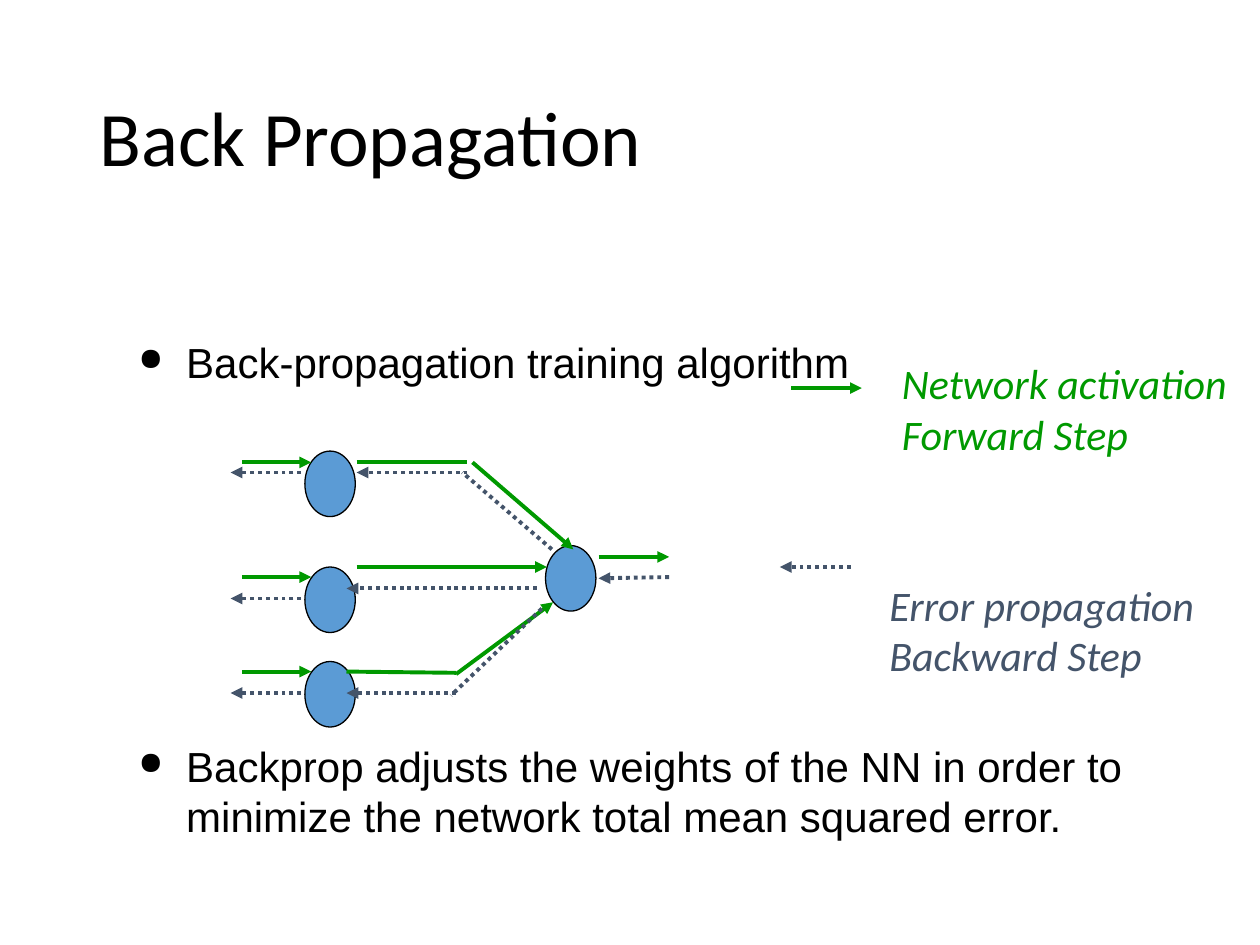
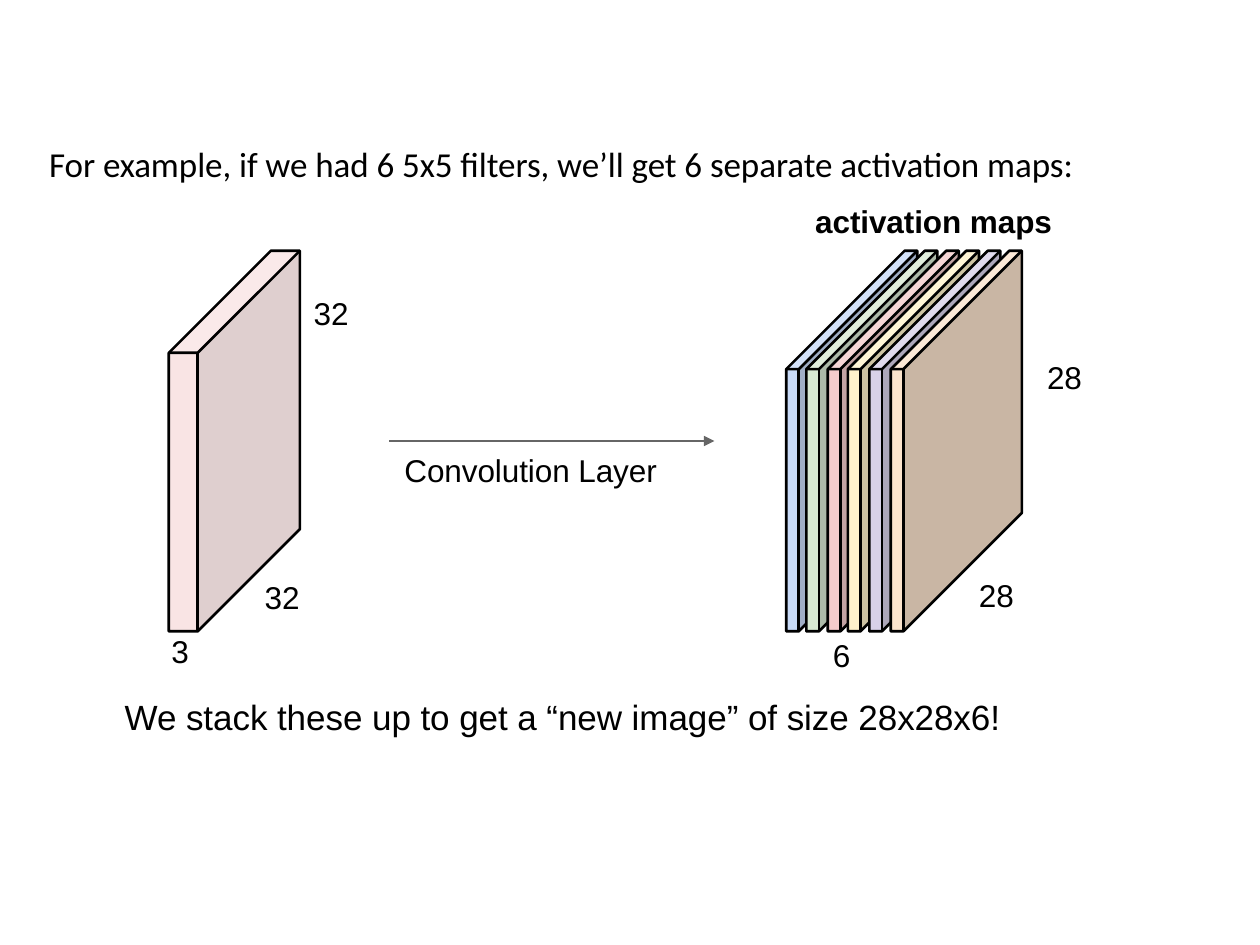
import pptx
import pptx.dml.color
import pptx.enum.dml
import pptx.enum.shapes
import pptx.enum.text
import pptx.oxml
import pptx.oxml.ns
import pptx.util

PX = 9144
RGB = pptx.dml.color.RGBColor
BLACK = RGB(0x00, 0x00, 0x00)
GREEN = RGB(0x00, 0x99, 0x00)
SLATE = RGB(0x44, 0x54, 0x6A)
GREY = RGB(0x66, 0x66, 0x66)
NEURON_BLUE = RGB(0x5B, 0x9B, 0xD5)
INPUT_PINK = RGB(0xF4, 0xCC, 0xCC)
MAP_COLOURS = [
    RGB(0xC8, 0xDA, 0xF7), RGB(0xD8, 0xE9, 0xD3), RGB(0xF4, 0xCC, 0xCC),
    RGB(0xFF, 0xF2, 0xCC), RGB(0xD8, 0xD1, 0xE8), RGB(0xFB, 0xE4, 0xCD),
]
WHITE_LEVEL = 255
DEFAULT_INSETS = (10, 5, 10, 5)
TIGHT_INSETS = (1, 2, 0, 0)

NEURON_SIZE = (40, 52)
INPUT_ROWS = [(0, 9, 17), (92, 100, 117), (167, 175, 192)]
INPUT_NEURON_LEFT = 59
OUTPUT_NEURON = (250, 75)
FORWARD_LINKS = [
    ((100, 9), (188, 9), False), ((92, 175), (179, 176), False),
    ((179, 177), (256, 120), True), ((100, 92), (251, 92), True),
    ((192, 9), (272, 78), True), ((292, 84), (348, 84), True),
]
BACKWARD_LINKS = [
    ((348, 100), (292, 101), True), ((247, 125), (175, 194), False),
    ((243, 109), (92, 109), True), ((179, 192), (92, 192), True),
    ((255, 78), (184, 17), False), ((188, 17), (100, 17), True),
]


def px(length):
    """Turn px into EMU."""
    return pptx.util.Emu(length * PX)


def xml_child(parent, tag, **attributes):
    """Append a drawing element with attributes to a parent."""
    child = parent.makeelement(pptx.oxml.ns.qn("a:" + tag), attributes)
    parent.append(child)
    return child


def add_bullet(para):
    """Give a paragraph a hanging round bullet."""
    properties = para._p.get_or_add_pPr()
    properties.set("marL", str(px(38)))
    properties.set("indent", str(-px(38)))
    colour = xml_child(properties, "buClr")
    xml_child(colour, "srgbClr", val=str(BLACK))
    xml_child(properties, "buSzPct", val="75000")
    xml_child(properties, "buChar", char="●")


def write_text(shape, text, size=18, font="Arial", colour=BLACK, bold=False,
               italic=False, insets=DEFAULT_INSETS, middle=False, bullets=False,
               gap=0, line_spacing=None, tracking=0):
    """Write lines of text into a shape, one paragraph each."""
    frame = shape.text_frame
    frame.word_wrap = True
    anchors = pptx.enum.text.MSO_ANCHOR
    frame.vertical_anchor = anchors.MIDDLE if middle else anchors.TOP
    (frame.margin_left, frame.margin_top,
     frame.margin_right, frame.margin_bottom) = map(px, insets)
    for index, line in enumerate(text.split("\n")):
        para = frame.add_paragraph() if index else frame.paragraphs[0]
        if bullets:
            add_bullet(para)
        para.alignment = pptx.enum.text.PP_ALIGN.LEFT
        para.space_before = pptx.util.Pt(gap if index else 0)
        if line_spacing:
            para.line_spacing = line_spacing
        span = para.add_run()
        span.text = line
        span.font.name = font
        span.font.size = pptx.util.Pt(size)
        span.font.bold = bold
        span.font.italic = italic
        span.font.color.rgb = colour
        if tracking:
            span._r.get_or_add_rPr().set("spc", str(tracking))


def add_text(page, box, text, **style):
    """Add a text box at the given box."""
    write_text(page.shapes.add_textbox(*map(px, box)), text, **style)


def add_label(page, box, text, **style):
    """Add a tightly set diagram label."""
    add_text(page, box, text, insets=TIGHT_INSETS, tracking=-5, **style)


def add_page(deck, box, title, **style):
    """Add a title-only slide and set its title."""
    page = deck.slides.add_slide(deck.slide_layouts[5])
    heading = page.shapes.title
    heading.left, heading.top, heading.width, heading.height = map(px, box)
    write_text(heading, title, font="Calibri", middle=True, **style)
    return page


def add_line(page, origin, start, end, colour, width, arrow=False, dotted=False):
    """Draw a straight line between two points relative to an origin."""
    left, top = origin
    line = page.shapes.add_connector(
        pptx.enum.shapes.MSO_CONNECTOR.STRAIGHT,
        px(left + start[0]), px(top + start[1]),
        px(left + end[0]), px(top + end[1]))
    line.line.color.rgb = colour
    line.line.width = pptx.util.Pt(width)
    if dotted:
        line.line.dash_style = pptx.enum.dml.MSO_LINE.ROUND_DOT
    if arrow:
        xml_child(line.line._get_or_add_ln(), "tailEnd", type="triangle")
    xml_child(line._element.spPr, "effectLst")


def add_signal(page, origin, start, end, forward, arrow=True):
    """Draw a forward or a backward signal of the network."""
    add_line(page, origin, start, end, GREEN if forward else SLATE, 2.25,
             arrow=arrow, dotted=not forward)


def add_neuron(page, left, top):
    """Draw one neuron."""
    neuron = page.shapes.add_shape(pptx.enum.shapes.MSO_SHAPE.OVAL,
                                   *map(px, (left, top, *NEURON_SIZE)))
    neuron.shadow.inherit = False
    neuron.fill.solid()
    neuron.fill.fore_color.rgb = NEURON_BLUE
    neuron.line.color.rgb = BLACK
    neuron.line.width = pptx.util.Pt(0.75)


def draw_network(page, origin):
    """Draw the neurons with their forward and backward signals."""
    left, top = origin
    for row, _, _ in INPUT_ROWS:
        add_neuron(page, left + INPUT_NEURON_LEFT, top + row)
    add_neuron(page, left + OUTPUT_NEURON[0], top + OUTPUT_NEURON[1])
    for _, forward_y, backward_y in INPUT_ROWS:
        add_signal(page, origin, (9, forward_y), (64, forward_y), True)
        add_signal(page, origin, (56, backward_y), (0, backward_y), False)
    for forward, links in ((True, FORWARD_LINKS), (False, BACKWARD_LINKS)):
        for start, end, arrow in links:
            add_signal(page, origin, start, end, forward, arrow)


def draw_legend_entry(page, box, arrow_offset, text, forward):
    """Draw a legend text with its sample arrow to the left."""
    tail, head = (0, 0), (56, 0)
    if not forward:
        tail, head = head, tail
    origin = (box[0] + arrow_offset[0], box[1] + arrow_offset[1])
    add_signal(page, origin, tail, head, forward)
    add_text(page, box, text, size=24, font="Calibri", italic=True,
             colour=GREEN if forward else SLATE)


def blend(colour, target, share):
    """Move a colour towards a grey level by a share."""
    return RGB(*(round(level + (target - level) * share) for level in colour))


def add_outline(page, points, fill=None, opacity=100, closed=True):
    """Draw a filled face without a line, or a black outline without a fill."""
    builder = page.shapes.build_freeform(*points[0], scale=PX)
    builder.add_line_segments(points[1:], close=closed)
    shape = builder.convert_to_shape()
    shape.shadow.inherit = False
    if fill is None:
        shape.fill.background()
        shape.line.color.rgb = BLACK
        shape.line.width = pptx.util.Pt(1.5)
        return
    shape.fill.solid()
    shape.fill.fore_color.rgb = fill
    shape.line.fill.background()
    if opacity < 100:
        colour = shape._element.spPr.find(".//" + pptx.oxml.ns.qn("a:srgbClr"))
        xml_child(colour, "alpha", val=str(opacity * 1000))


def draw_slab(page, box, thickness, colour, opacity=100):
    """Draw an upright slab in oblique view that fills the box."""
    left, top, width, height = box
    depth = width - thickness
    right, bottom = left + width, top + height
    edge, brow = left + thickness, top + depth
    front_left, front_right = (left, brow), (edge, brow)
    foot_left, foot_right = (left, bottom), (edge, bottom)
    back_left, back_right = (left + depth, top), (right, top)
    back_foot = (right, bottom - depth)
    faces = [
        ([front_left, front_right, foot_right, foot_left], colour),
        ([foot_right, front_right, back_right, back_foot], blend(colour, 0, 0.2)),
        ([front_right, front_left, back_left, back_right],
         blend(colour, WHITE_LEVEL, 0.2)),
    ]
    for points, fill in faces:
        add_outline(page, points, fill, opacity)
    add_outline(page, [front_left, back_left, back_right, back_foot,
                       foot_right, foot_left])
    add_outline(page, [front_left, front_right, back_right], closed=False)
    add_line(page, (0, 0), front_right, foot_right, BLACK, 1.5)


def draw_input_volume(page, origin):
    """Draw the input volume and its dimensions."""
    left, top = origin
    draw_slab(page, (left, top, 104, 302), 23, INPUT_PINK, opacity=52)
    add_label(page, (left + 75, top + 258, 31, 33), "32")
    add_label(page, (left + 114, top + 32, 31, 33), "32")
    add_label(page, (left + 1, top + 301, 17, 33), "3")


def draw_convolution(page, origin):
    """Draw the labelled arrow of the convolution layer."""
    left, top = origin
    add_line(page, origin, (0, 0), (258, 0), GREY, 0.75, arrow=True)
    add_label(page, (left + 11, top + 6, 204, 33), "Convolution Layer")


def draw_activation_maps(page, origin):
    """Draw the stack of activation maps and its dimensions."""
    left, top = origin
    for index, colour in enumerate(MAP_COLOURS):
        shift = index * 83 // 5
        draw_slab(page, (left + shift, top, 104, 302), 10, colour)
    add_label(page, (left + 22, top - 41, 192, 33), "activation maps", bold=True)
    add_label(page, (left + 36, top + 304, 17, 33), "6")
    add_label(page, (left + 152, top + 256, 31, 33), "28")
    add_label(page, (left + 206, top + 83, 31, 33), "28")


def build_back_propagation(deck):
    """Build the slide on the training algorithm."""
    page = add_page(deck, (69, 40, 862, 145), "Back Propagation",
                    size=44, line_spacing=0.9)
    add_text(page, (100, 262, 867, 454),
             "Back-propagation training algorithm\n"
             "Backprop adjusts the weights of the NN in order to "
             "minimize the network total mean squared error.",
             size=24, bullets=True, gap=202)
    draw_network(page, (183, 358))
    draw_legend_entry(page, (706, 279, 294, 90), (-78, 29),
                      "Network activation\nForward Step", forward=True)
    draw_legend_entry(page, (696, 455, 270, 90), (-77, -5),
                      "Error propagation\nBackward Step", forward=False)


def build_activation_maps(deck):
    """Build the slide on stacked activation maps."""
    page = add_page(
        deck, (38, 111, 896, 36),
        "For example, if we had 6 5x5 filters, we’ll get 6 separate activation maps:",
        size=20, insets=TIGHT_INSETS, tracking=-5)
    draw_input_volume(page, (134, 199))
    draw_convolution(page, (309, 350))
    draw_activation_maps(page, (624, 199))
    add_label(page, (98, 550, 710, 36),
              "We stack these up to get a “new image” of size 28x28x6!", size=20)


def main():
    """Build and save the deck."""
    deck = pptx.Presentation()
    deck.slide_width, deck.slide_height = px(1000), px(750)
    build_back_propagation(deck)
    build_activation_maps(deck)
    deck.save("out.pptx")


if __name__ == "__main__":
    main()
